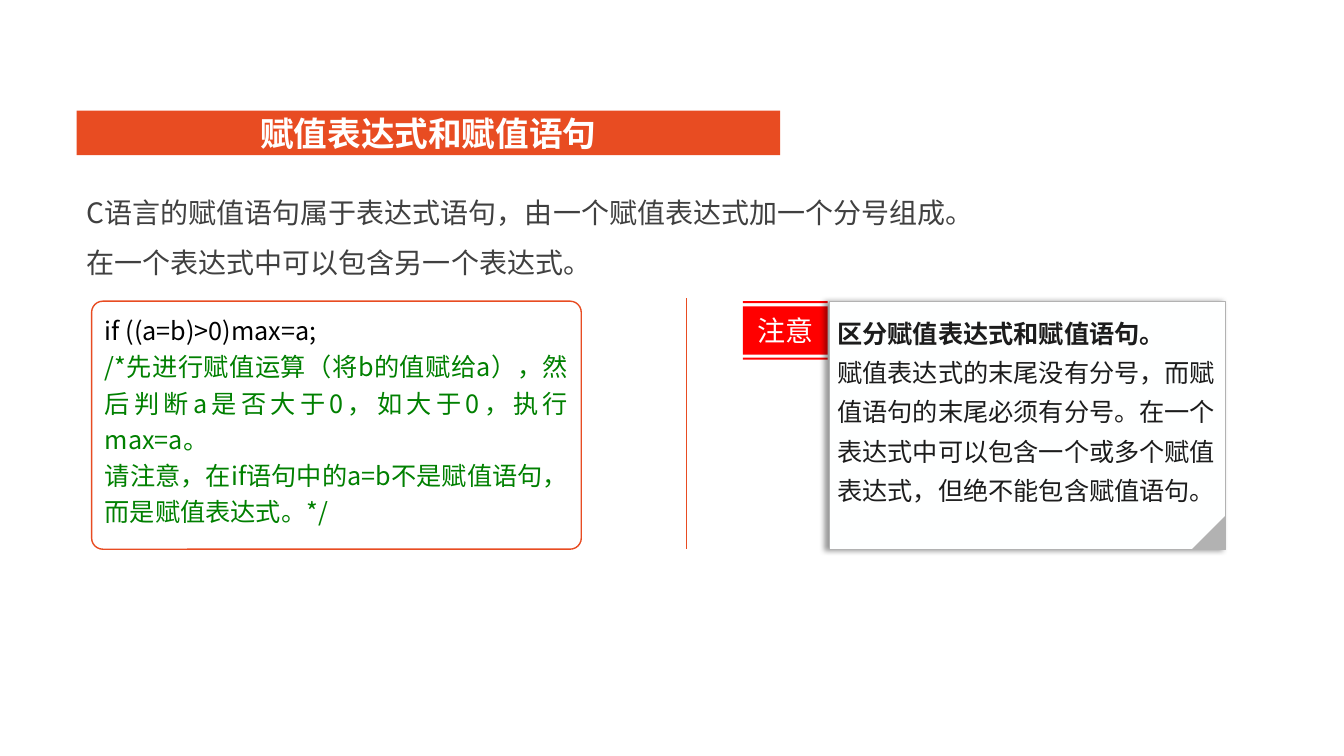
"""Build a slide on assignment expressions and assignment statements in C."""
from dataclasses import dataclass
from typing import Any, Optional

import lxml.etree
import pptx
import pptx.dml.color
import pptx.enum.shapes
import pptx.enum.text
import pptx.oxml.ns
import pptx.util

Cm = pptx.util.Cm
Kind = pptx.enum.shapes.MSO_SHAPE
Align = pptx.enum.text.PP_ALIGN
Anchor = pptx.enum.text.MSO_ANCHOR
qn = pptx.oxml.ns.qn


@dataclass(frozen=True)
class Theme:
    """Colours, font and type sizes of the slide."""
    font: str = "Noto Sans CJK SC"
    accent: str = "E84C22"
    white: str = "FFFFFF"
    paper: str = "FEFFFF"
    body: str = "404040"
    ink: str = "1C1C1C"
    code: str = "000000"
    remark: str = "008000"
    alert: str = "FF0000"
    edge: str = "B2B2B2"
    title: float = 24
    lead: float = 20
    small: float = 18


@dataclass(frozen=True)
class Para:
    """One paragraph with its look."""
    text: str
    size: float
    color: str
    bold: bool = False


@dataclass(frozen=True)
class Copy:
    """The paragraphs of one shape and how they are set."""
    paras: tuple[Para, ...]
    align: Any = Align.LEFT
    space: float = 1.0
    anchor: Any = Anchor.TOP
    inset: Optional[float] = None


@dataclass(frozen=True)
class Panel:
    """A preset shape, measured in centimetres."""
    kind: Any
    left: float
    top: float
    width: float
    height: float
    fill: str
    line: Optional[str] = None
    weight: float = 1
    copy: Optional[Copy] = None
    round: Optional[float] = None
    turn: float = 0
    shade: bool = False


T = Theme()
ROW, BASE = 7.59, 13.84
EDGE, FOLD = 30.88, 0.84

PANELS = (
    Panel(Kind.RECTANGLE, 1.93, 2.79, 17.73, 1.12, T.accent,
          copy=Copy((Para("赋值表达式和赋值语句", T.title, T.white, True),),
                    Align.CENTER, anchor=Anchor.MIDDLE, inset=0)),
    Panel(Kind.ROUNDED_RECTANGLE, 2.31, ROW, 12.34, BASE - ROW, T.white, T.accent,
          copy=Copy((
              Para("if ((a=b)>0)max=a;", T.small, T.code),
              Para("/*先进行赋值运算（将b的值赋给a），然后判断a是否大于0，"
                   "如大于0，执行max=a。", T.small, T.remark),
              Para("请注意，在if语句中的a=b不是赋值语句，而是赋值表达式。*/",
                   T.small, T.remark),
          ), Align.JUSTIFY, 1.2), round=0.045),
    Panel(Kind.RECTANGLE, 20.9, ROW, EDGE - 20.9, BASE - ROW, T.paper, T.edge, 0.75,
          copy=Copy((
              Para("区分赋值表达式和赋值语句。", T.small, T.ink, True),
              Para("赋值表达式的末尾没有分号，而赋值语句的末尾必须有分号。"
                   "在一个表达式中可以包含一个或多个赋值表达式，"
                   "但绝不能包含赋值语句。", T.small, T.ink),
          ), space=1.3, inset=0.2), shade=True),
    Panel(Kind.RIGHT_TRIANGLE, EDGE - FOLD, BASE - FOLD, FOLD, FOLD, T.edge, turn=270),
)

LEAD = Copy((
    Para("C语言的赋值语句属于表达式语句，由一个赋值表达式加一个分号组成。", T.lead, T.body),
    Para("在一个表达式中可以包含另一个表达式。", T.lead, T.body),
), space=1.5)

TAG = Copy((Para("注意", T.lead, T.paper),), Align.CENTER, anchor=Anchor.MIDDLE)
BARS = ((1.42, 1.47), (0.13, 1.35), (0, 0.05))


def tint(code: str) -> pptx.dml.color.RGBColor:
    """Turn a hex code into a colour."""
    return pptx.dml.color.RGBColor.from_string(code)


def write(shape: Any, copy: Copy) -> None:
    """Set the text of a shape."""
    frame = shape.text_frame
    frame.word_wrap = True
    frame.vertical_anchor = copy.anchor
    if copy.inset is not None:
        frame.margin_left = frame.margin_right = Cm(copy.inset)
        frame.margin_top = frame.margin_bottom = Cm(copy.inset)
    frame.text = "\n".join(para.text for para in copy.paras)
    for item, para in zip(frame.paragraphs, copy.paras):
        item.alignment = copy.align
        item.line_spacing = copy.space
        for run in item.runs:
            font = run.font
            font.size = pptx.util.Pt(para.size)
            font.bold = para.bold
            font.color.rgb = tint(para.color)
            font.name = T.font
            lxml.etree.SubElement(font._element, qn("a:ea"), typeface=T.font)


def cast(shape: Any) -> None:
    """Give a shape a soft shadow to its left."""
    effects = shape._element.spPr.find(qn("a:effectLst"))
    outer = lxml.etree.SubElement(
        effects, qn("a:outerShdw"), blurRad=str(pptx.util.Pt(4)),
        dist=str(pptx.util.Pt(3)), dir="10800000", algn="r", rotWithShape="0")
    color = lxml.etree.SubElement(outer, qn("a:srgbClr"), val=T.code)
    lxml.etree.SubElement(color, qn("a:alpha"), val="40000")


def paint(shape: Any, fill: str, line: Optional[str] = None, weight: float = 1) -> None:
    """Set the fill and outline of a shape."""
    shape.shadow.inherit = False
    shape.fill.solid()
    shape.fill.fore_color.rgb = tint(fill)
    if line is None:
        shape.line.fill.background()
    else:
        shape.line.color.rgb = tint(line)
        shape.line.width = pptx.util.Pt(weight)


def draw(slide: Any, panel: Panel) -> None:
    """Draw one panel."""
    shape = slide.shapes.add_shape(panel.kind, Cm(panel.left), Cm(panel.top),
                                   Cm(panel.width), Cm(panel.height))
    paint(shape, panel.fill, panel.line, panel.weight)
    shape.rotation = panel.turn
    if panel.round is not None:
        shape.adjustments[0] = panel.round
    if panel.shade:
        cast(shape)
    if panel.copy is not None:
        write(shape, panel.copy)


def label(slide: Any, left: float, right: float) -> None:
    """Draw the red tag: one band between two thin rules."""
    pen = slide.shapes.build_freeform(Cm(left), Cm(ROW + BARS[0][0]))
    for top, base in BARS:
        high, low = Cm(ROW + top), Cm(ROW + base)
        pen.move_to(Cm(left), high)
        pen.add_line_segments(
            [(Cm(right), high), (Cm(right), low), (Cm(left), low)], close=True)
    shape = pen.convert_to_shape()
    paint(shape, T.alert)
    write(shape, TAG)


def main() -> None:
    """Build and save the slide."""
    deck = pptx.Presentation()
    deck.slide_width, deck.slide_height = Cm(33.87), Cm(19.05)
    slide = deck.slides.add_slide(deck.slide_layouts[6])
    lead = slide.shapes.add_textbox(Cm(1.93), Cm(4.37), Cm(26.54), Cm(2.82))
    write(lead, LEAD)
    lead.text_frame.auto_size = pptx.enum.text.MSO_AUTO_SIZE.SHAPE_TO_FIT_TEXT
    label(slide, 18.72, 20.86)
    for panel in PANELS:
        draw(slide, panel)
    rule = slide.shapes.add_connector(pptx.enum.shapes.MSO_CONNECTOR.STRAIGHT,
                                      Cm(17.3), Cm(7.52), Cm(17.3), Cm(BASE))
    rule.line.color.rgb = tint(T.accent)
    rule.line.width = pptx.util.Pt(0.5)
    lxml.etree.SubElement(rule._element.spPr, qn("a:effectLst"))
    deck.save("out.pptx")


if __name__ == "__main__":
    main()
